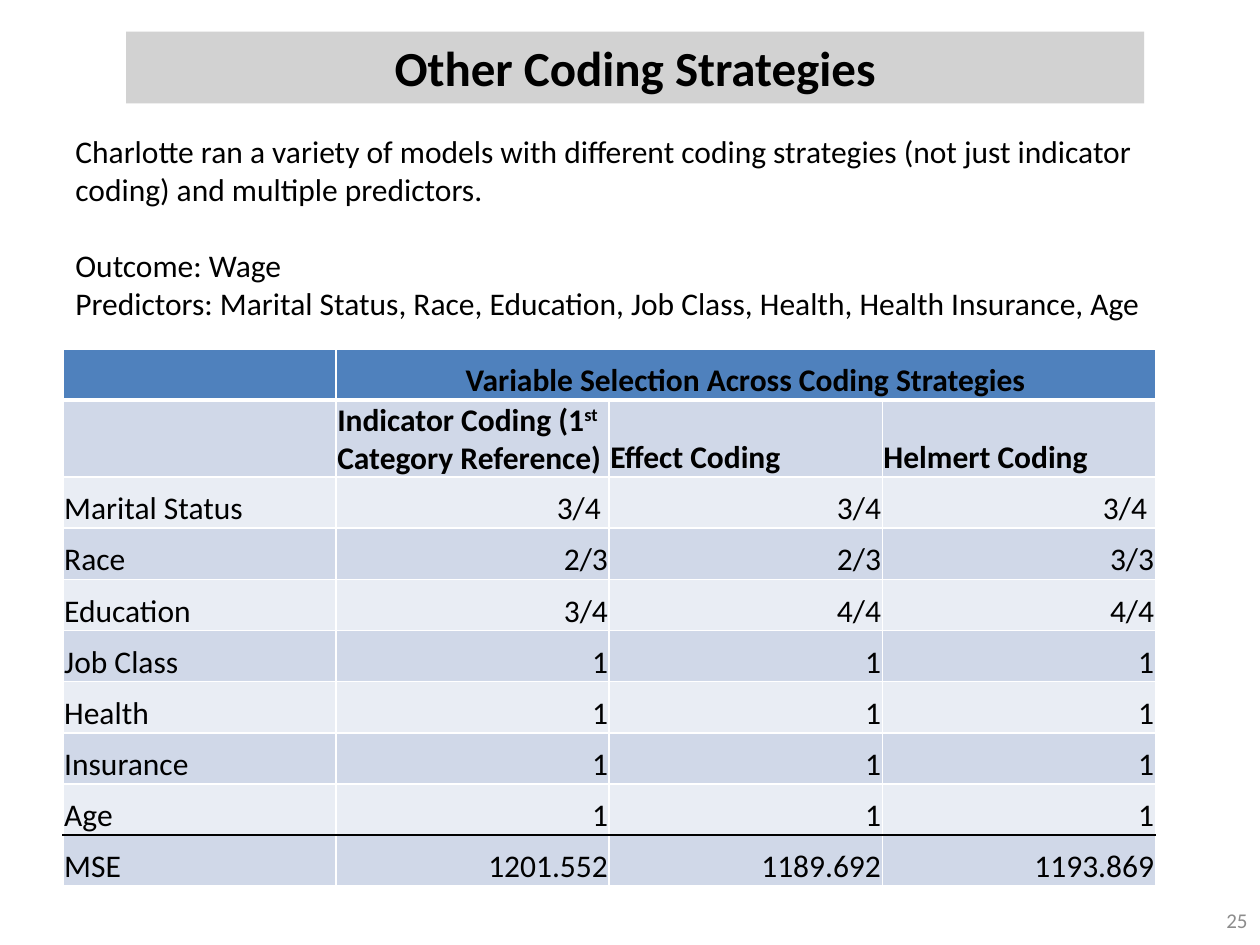
from lxml import etree
from pptx import Presentation
from pptx import util as u
from pptx.dml.color import RGBColor
from pptx.enum import text
from pptx.oxml import ns

Inches = u.Inches
COLORS = {
    "black": "000000", "white": "FFFFFF", "title": "BFBFBF", "number": "8C8C8C",
    "header": "4F81BD", "dark band": "D0D8E8", "light band": "E9EDF4",
}


def add_run(paragraph, words, size=18, bold=False, color="black"):
    run = paragraph.add_run()
    run.text = words
    run.font.name = "Calibri"
    run.font.size = u.Pt(size)
    run.font.bold = bold
    run.font.color.rgb = RGBColor.from_string(COLORS[color])
    return run


def add_border(cell, side, color, points):
    """Draw one cell edge; side is L, R, T or B."""
    properties = cell._tc.get_or_add_tcPr()
    line = etree.SubElement(properties, ns.qn("a:ln" + side), w=str(u.Pt(points)))
    fill = etree.SubElement(line, ns.qn("a:solidFill"))
    etree.SubElement(fill, ns.qn("a:srgbClr"), val=COLORS[color])


presentation = Presentation()
presentation.slide_width, presentation.slide_height = Inches(10), Inches(7.5)
slide = presentation.slides.add_slide(presentation.slide_layouts[5])

# Title on a translucent grey bar
title = slide.shapes.title
title.left, title.top = Inches(1), Inches(0.25)
title.width, title.height = Inches(8.08), Inches(0.57)
title.fill.solid()
title.fill.fore_color.rgb = RGBColor.from_string(COLORS["title"])
title_color = title._element.spPr.find(".//" + ns.qn("a:srgbClr"))
etree.SubElement(title_color, ns.qn("a:alpha"), val="70000")
title.text_frame.auto_size = text.MSO_AUTO_SIZE.NONE
title.text_frame.vertical_anchor = text.MSO_ANCHOR.TOP
paragraph = title.text_frame.paragraphs[0]
paragraph.alignment = text.PP_ALIGN.CENTER
add_run(paragraph, "Other Coding Strategies", 28, True)

# Slide number
number = slide.shapes.add_textbox(Inches(7.67), Inches(7.1), Inches(2.33), Inches(0.4))
number.text_frame.word_wrap = True
number.text_frame.vertical_anchor = text.MSO_ANCHOR.MIDDLE
paragraph = number.text_frame.paragraphs[0]
paragraph.alignment = text.PP_ALIGN.RIGHT
add_run(paragraph, "25", 12, color="number")

# Introduction
INTRODUCTION = [
    ("Charlotte ran a variety of models with different coding strategies "
     "(not just indicator coding) and multiple predictors.", 0),
    ("Outcome: Wage", 22),
    ("Predictors: Marital Status, Race, Education, Job Class, Health, "
     "Health Insurance, Age", 0),
]
introduction = slide.shapes.add_textbox(Inches(0.5), Inches(1), Inches(9.25), Inches(1.62))
frame = introduction.text_frame
frame.word_wrap = True
for index, (words, space) in enumerate(INTRODUCTION):
    paragraph = frame.add_paragraph() if index else frame.paragraphs[0]
    if space:
        paragraph.space_before = u.Pt(space)
    add_run(paragraph, words)

# Variable selection table
ROWS = [
    ["", "Variable Selection Across Coding Strategies", "", ""],
    ["", "Indicator Coding (1|st| Category Reference)", "Effect Coding", "Helmert Coding"],
    ["Marital Status", "3/4 ", "3/4", "3/4 "],
    ["Race", "2/3", "2/3", "3/3"],
    ["Education", "3/4", "4/4", "4/4"],
    ["Job Class", "1", "1", "1"],
    ["Health", "1", "1", "1"],
    ["Insurance", "1", "1", "1"],
    ["Age", "1", "1", "1"],
    ["MSE", "1201.552", "1189.692", "1193.869"],
]
# Horizontal rules: heavy under the header, black above the MSE row
rules = [("white", 1)] * (len(ROWS) + 1)
rules[1] = ("white", 3)
rules[-2] = ("black", 1)

table = slide.shapes.add_table(
    len(ROWS), 4, Inches(0.5), Inches(2.77), Inches(8.67), Inches(4.06)).table
table.rows[1].height = Inches(0.6)
table.cell(0, 1).merge(table.cell(0, 3))
for row, values in enumerate(ROWS):
    band = "header" if row == 0 else ("dark band" if row % 2 else "light band")
    for column, words in enumerate(values):
        cell = table.cell(row, column)
        for side in "LR":
            add_border(cell, side, "white", 1)
        add_border(cell, "T", *rules[row])
        add_border(cell, "B", *rules[row + 1])
        cell.fill.solid()
        cell.fill.fore_color.rgb = RGBColor.from_string(COLORS[band])
        cell.margin_left = cell.margin_right = cell.margin_top = Inches(0.01)
        cell.margin_bottom = 0
        cell.vertical_anchor = text.MSO_ANCHOR.BOTTOM
        paragraph = cell.text_frame.paragraphs[0]
        if row == 0:
            paragraph.alignment = text.PP_ALIGN.CENTER
        elif row > 1 and column > 0:
            paragraph.alignment = text.PP_ALIGN.RIGHT
        if not words:
            continue
        # Every second part between bars is superscript
        for index, part in enumerate(words.split("|")):
            run = add_run(paragraph, part, bold=row < 2)
            if index % 2:
                run.font._element.set("baseline", "30000")

presentation.save("out.pptx")
